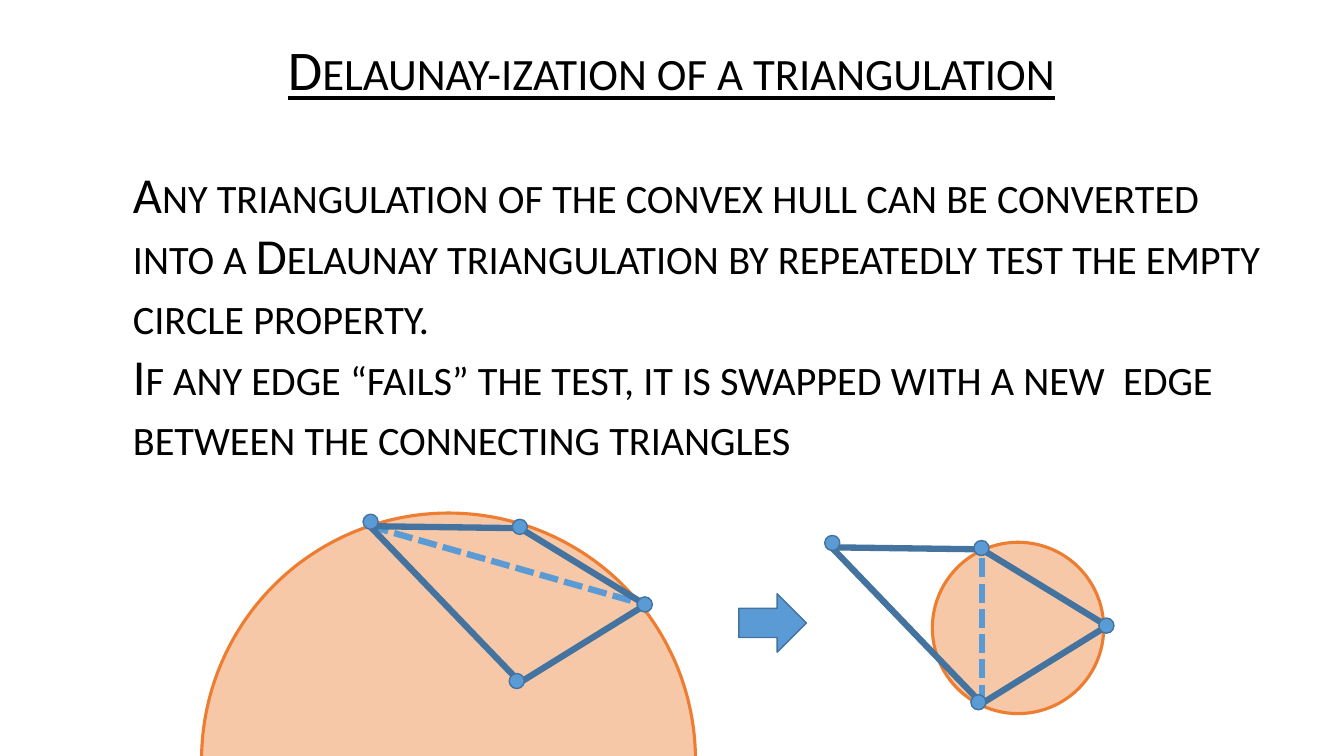
from lxml import etree
from pptx import Presentation
from pptx.dml.color import RGBColor
from pptx.enum.dml import MSO_LINE
from pptx.enum.shapes import MSO_CONNECTOR, MSO_SHAPE
from pptx.enum.text import MSO_ANCHOR, PP_ALIGN
from pptx.oxml.ns import qn
from pptx.util import Inches, Pt

OVAL = MSO_SHAPE.OVAL
ARROW = MSO_SHAPE.RIGHT_ARROW
STRAIGHT = MSO_CONNECTOR.STRAIGHT
DASH = MSO_LINE.SQUARE_DOT
MIDDLE = MSO_ANCHOR.MIDDLE
LEFT, CENTER = PP_ALIGN.LEFT, PP_ALIGN.CENTER

COLUMNS, ROWS = 40, 22.5
WIDTH, HEIGHT = Inches(13.3333), Inches(7.5)
BLUE, EDGE_BLUE, ORANGE, BLACK = "5B9BD5", "43739E", "ED7D31", "000000"

VERTICES = [(0, 0), (4.47, 0.06), (8.2, 2.34), (4.47, 4.65)]
DOT_CENTERS = [(0.02, -0.13), (4.46, 0.02), (8.18, 2.33), (4.37, 4.61)]
DOT_SIZE = 0.45

TITLE = "Delaunay-ization of a triangulation"
STATEMENTS = [
    "Any triangulation of the convex hull can be converted into a Delaunay "
    "triangulation by repeatedly test the empty circle property.",
    "If any edge “fails” the test, it is swapped with a new  edge between "
    "the connecting triangles",
]


def color(value):
    return RGBColor.from_string(value)


def across(columns):
    return int(WIDTH * columns / COLUMNS)


def down(rows):
    return int(HEIGHT * rows / ROWS)


def place(left, top, width, height):
    return across(left), down(top), across(width), down(height)


def set_line(item, value, points):
    item.line.color.rgb = color(value)
    item.line.width = Pt(points)


def add_figure(page, kind, area, fill, edge, points, opacity=100):
    figure = page.shapes.add_shape(kind, *place(*area))
    figure.shadow.inherit = False
    figure.fill.solid()
    figure.fill.fore_color.rgb = color(fill)
    if opacity < 100:
        tint = figure.fill._xPr.find(".//" + qn("a:srgbClr"))
        etree.SubElement(tint, qn("a:alpha")).set("val", str(opacity * 1000))
    set_line(figure, edge, points)


def add_text(page, area, lines, size, align, underline=False, indent=0,
             spacing=1.0, before=0):
    box = page.shapes.add_textbox(*place(*area))
    frame = box.text_frame
    frame.word_wrap = True
    frame.vertical_anchor = MIDDLE
    for index, line in enumerate(lines):
        para = frame.paragraphs[0] if index == 0 else frame.add_paragraph()
        para.alignment = align
        para.line_spacing = spacing
        para.space_before = Pt(before)
        para._p.get_or_add_pPr().set("marL", str(across(indent)))
        span = para.add_run()
        span.text = line
        span.font.name = "Calibri"
        span.font.size = Pt(size)
        span.font.underline = underline
        span.font.color.rgb = color(BLACK)
        span._r.get_or_add_rPr().set("cap", "small")


def add_diagonal(page, start, end):
    diagonal = page.shapes.add_connector(
        STRAIGHT, across(start[0]), down(start[1]), across(end[0]), down(end[1]))
    set_line(diagonal, BLUE, 4.5)
    diagonal.line.dash_style = DASH
    etree.SubElement(diagonal._element.spPr, qn("a:effectLst"))


def add_outline(page, corners):
    points = [(across(x), down(y)) for x, y in corners]
    builder = page.shapes.build_freeform(*points[0])
    builder.add_line_segments(points[1:], close=True)
    outline = builder.convert_to_shape()
    outline.shadow.inherit = False
    outline.fill.background()
    set_line(outline, EDGE_BLUE, 4.5)


def add_triangle_pair(page, origin, circle, diagonal):
    def shift(points):
        return [(origin[0] + x, origin[1] + y) for x, y in points]

    left, top, diameter = circle
    add_figure(page, OVAL, (left, top, diameter, diameter), ORANGE, ORANGE, 2.25, 42)
    corners = shift(VERTICES)
    add_diagonal(page, *(corners[index] for index in diagonal))
    add_outline(page, corners)
    for x, y in shift(DOT_CENTERS):
        area = (x - DOT_SIZE / 2, y - DOT_SIZE / 2, DOT_SIZE, DOT_SIZE)
        add_figure(page, OVAL, area, BLUE, EDGE_BLUE, 1)


def main():
    deck = Presentation()
    deck.slide_width, deck.slide_height = WIDTH, HEIGHT
    page = deck.slides.add_slide(deck.slide_layouts[6])
    add_text(page, (2.16, 3.96, 35.67, 10.8), STATEMENTS, 36, LEFT, indent=1.5)
    add_text(page, (5.22, 0.87, 29.52, 2.55), [TITLE], 40, CENTER,
             underline=True, spacing=0.9, before=10)
    add_triangle_pair(page, (11.01, 15.66), (6, 15.27, 14.7), (0, 2))
    add_triangle_pair(page, (24.75, 16.29), (27.75, 16.14, 5.1), (3, 1))
    add_figure(page, ARROW, (21.99, 17.67, 2.01, 1.74), BLUE, EDGE_BLUE, 1)
    deck.save("out.pptx")


if __name__ == "__main__":
    main()
